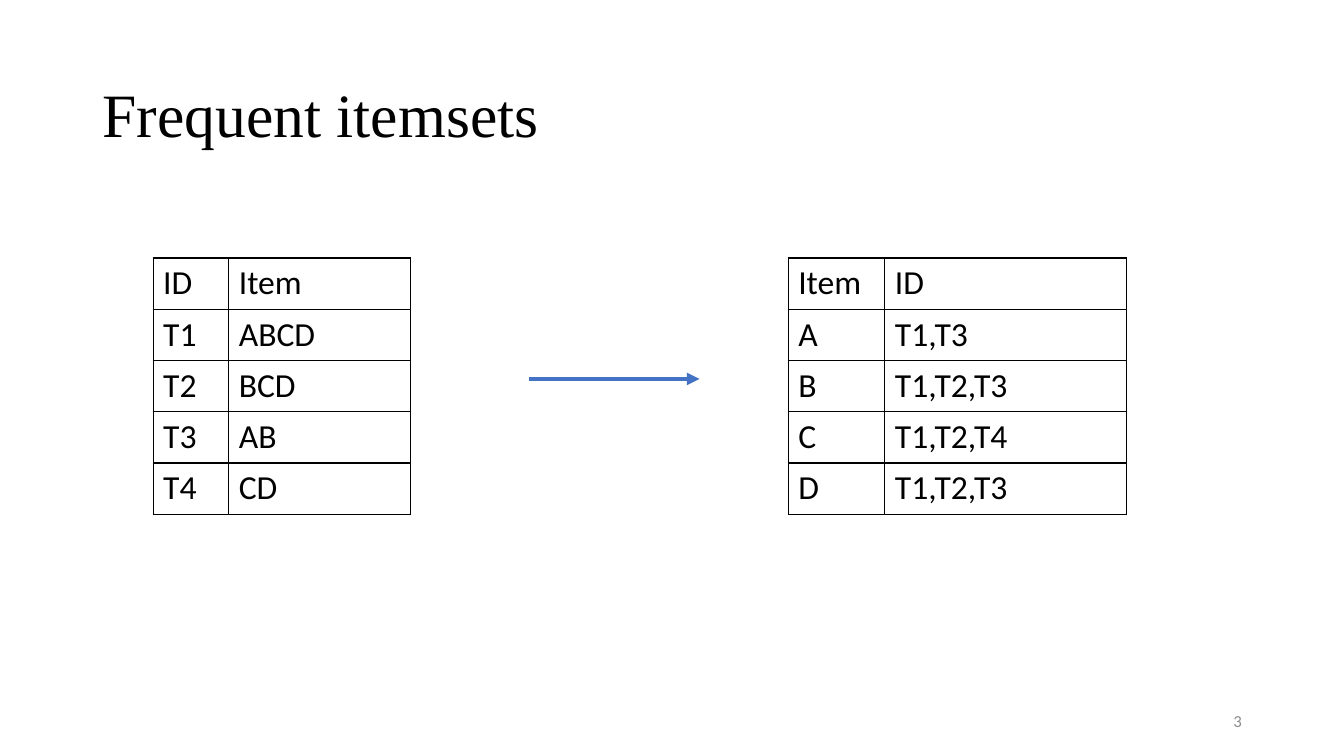
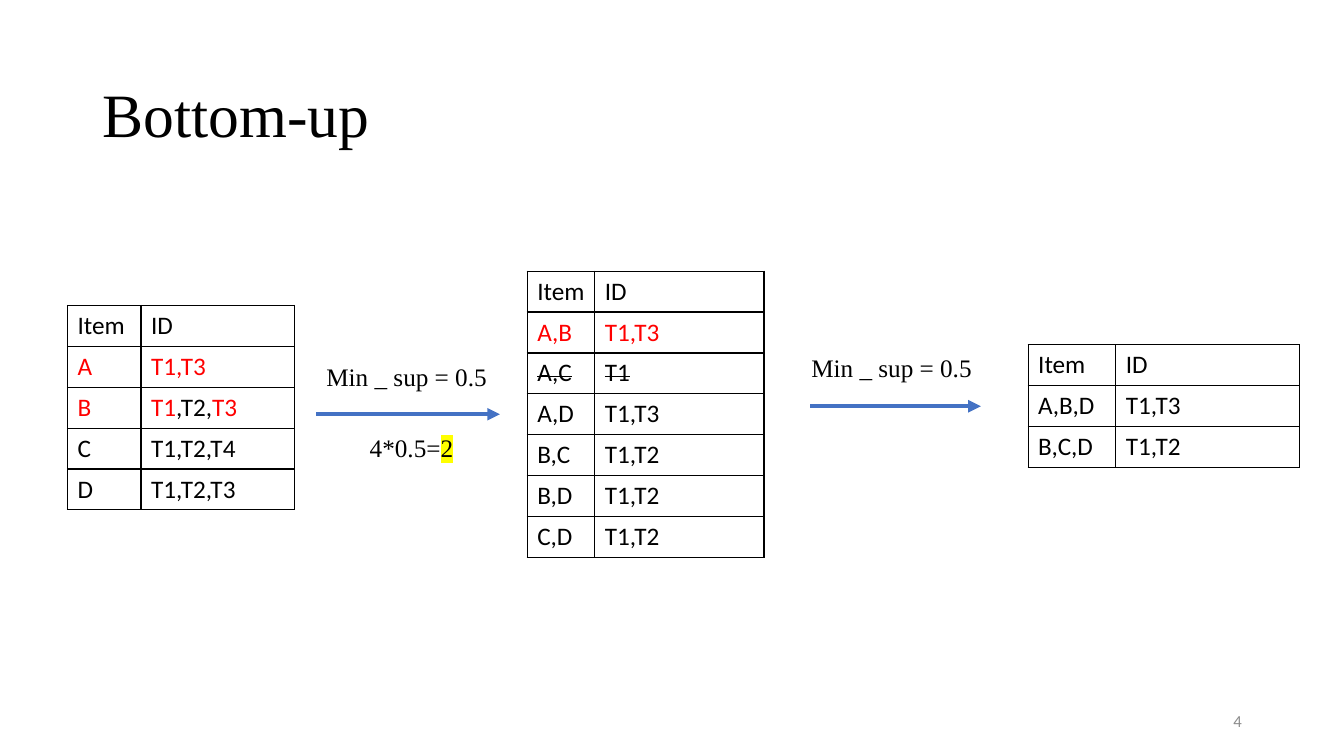
"""Build two slides on mining frequent itemsets with vertical transaction tables."""

import lxml.etree
import pptx
import pptx.dml.color
import pptx.enum.shapes
import pptx.enum.text
import pptx.oxml.ns
import pptx.util

Pt = pptx.util.Pt
qn = pptx.oxml.ns.qn

SERIF = "Times New Roman"
SANS = "Calibri"
BLACK = "000000"
BLUE = "4472C4"
GREY = "8C8C8C"
RED = {"color": "FF0000"}
STRUCK = {"strike": True}
YELLOW = {"highlight": "FFFF00"}


def rgb(value):
    return pptx.dml.color.RGBColor.from_string(value)


def add_solid_fill(parent, color):
    fill = lxml.etree.SubElement(parent, qn("a:solidFill"))
    lxml.etree.SubElement(fill, qn("a:srgbClr"), val=color)


def write(para, text, size=18, font=SANS, color=BLACK, strike=False, highlight=None):
    span = para.add_run()
    span.text = text
    span.font.size = Pt(size)
    span.font.name = font
    span.font.color.rgb = rgb(color)
    properties = span._r.get_or_add_rPr()
    if strike:
        properties.set("strike", "sngStrike")
    if highlight:
        mark = lxml.etree.Element(qn("a:highlight"))
        lxml.etree.SubElement(mark, qn("a:srgbClr"), val=highlight)
        properties.find(qn("a:solidFill")).addnext(mark)


def write_spans(para, content, **style):
    spans = [(content, {})] if isinstance(content, str) else content
    for text, changes in spans:
        write(para, text, **{**style, **changes})


def set_borders(cell):
    properties = cell._tc.get_or_add_tcPr()
    for side in ("lnL", "lnR", "lnT", "lnB"):
        border = lxml.etree.SubElement(properties, qn("a:" + side), w=str(Pt(1)))
        add_solid_fill(border, BLACK)


class Slides:
    def __init__(self):
        self.deck = pptx.Presentation()
        self.deck.slide_width = Pt(960)
        self.deck.slide_height = Pt(540)
        self.page = None

    def start(self, title, number):
        self.page = self.deck.slides.add_slide(self.deck.slide_layouts[6])
        middle = pptx.enum.text.MSO_ANCHOR.MIDDLE
        heading = self.text(66.2, 49.7, 828, 69, title, size=44, font=SERIF)
        heading.vertical_anchor = middle
        heading.paragraphs[0].line_spacing = 0.9
        footer = self.text(678.2, 500.4, 216, 28.8, str(number), size=12, color=GREY)
        footer.vertical_anchor = middle
        footer.paragraphs[0].alignment = pptx.enum.text.PP_ALIGN.RIGHT

    def text(self, left, top, width, height, content, **style):
        box = self.page.shapes.add_textbox(Pt(left), Pt(top), Pt(width), Pt(height))
        frame = box.text_frame
        frame.word_wrap = True
        write_spans(frame.paragraphs[0], content, **style)
        return frame

    def label(self, left, top, content, width=140.4):
        frame = self.text(left, top, width, 28.8, content, font=SERIF)
        frame.auto_size = pptx.enum.text.MSO_AUTO_SIZE.SHAPE_TO_FIT_TEXT

    def arrow(self, left, right, y):
        straight = pptx.enum.shapes.MSO_CONNECTOR.STRAIGHT
        line = self.page.shapes.add_connector(straight, Pt(left), Pt(y), Pt(right), Pt(y))
        line.line.color.rgb = rgb(BLUE)
        line.line.width = Pt(3)
        outline = line.line._get_or_add_ln()
        lxml.etree.SubElement(outline, qn("a:tailEnd"), type="triangle")
        lxml.etree.SubElement(line._element.spPr, qn("a:effectLst"))

    def table(self, left, top, widths, rows, size=18, row_height=29.2):
        frame = self.page.shapes.add_table(
            len(rows), len(widths), Pt(left), Pt(top),
            Pt(sum(widths)), Pt(row_height * len(rows)))
        grid = frame.table
        grid.first_row = False
        grid.horz_banding = False
        for column, width in zip(grid.columns, widths):
            column.width = Pt(width)
        for line, contents in zip(grid.rows, rows):
            line.height = Pt(row_height)
            for cell, content in zip(line.cells, contents):
                set_borders(cell)
                cell.fill.background()
                write_spans(cell.text_frame.paragraphs[0], content, size=size)


def styled_row(style, *texts):
    return [[(text, style)] for text in texts]


def main():
    slides = Slides()
    large = {"size": 24, "row_height": 36.6}
    min_support = "Min _ sup = 0.5"
    header = ("Item", "ID")
    last_items = [("C", "T1,T2,T4"), ("D", "T1,T2,T3")]

    slides.start("Frequent itemsets", 3)
    slides.table(109.4, 184.3, (54, 129.6), [
        ("ID", "Item"), ("T1", "ABCD"), ("T2", "BCD"), ("T3", "AB"), ("T4", "CD"),
    ], **large)
    slides.table(563, 184.3, (69.1, 172.8), [
        header, ("A", "T1,T3"), ("B", "T1,T2,T3"), *last_items,
    ], **large)
    slides.arrow(378, 499.7, 270.7)

    slides.start("Bottom-up", 4)
    slides.table(48.2, 218.2, (52.6, 109.4), [
        header,
        styled_row(RED, "A", "T1,T3"),
        ([("B", RED)], [("T1", RED), (",T2,", {}), ("T3", RED)]),
        *last_items,
    ])
    slides.table(376.6, 193.7, (48.2, 121), [
        header,
        styled_row(RED, "A,B", "T1,T3"),
        styled_row(STRUCK, "A,C", "T1"),
        ("A,D", "T1,T3"), ("B,C", "T1,T2"), ("B,D", "T1,T2"), ("C,D", "T1,T2"),
    ])
    slides.table(734.4, 246.2, (62.6, 131), [
        header, ("A,B,D", "T1,T3"), ("B,C,D", "T1,T2"),
    ])
    slides.arrow(226, 357.1, 295.9)
    slides.arrow(578.9, 700.6, 290.2)
    slides.label(226, 254.2, min_support)
    slides.label(572.4, 248.4, min_support)
    slides.label(257, 305.3, [("4*0.5=", {}), ("2", YELLOW)], width=104)

    slides.deck.save("out.pptx")


if __name__ == "__main__":
    main()
